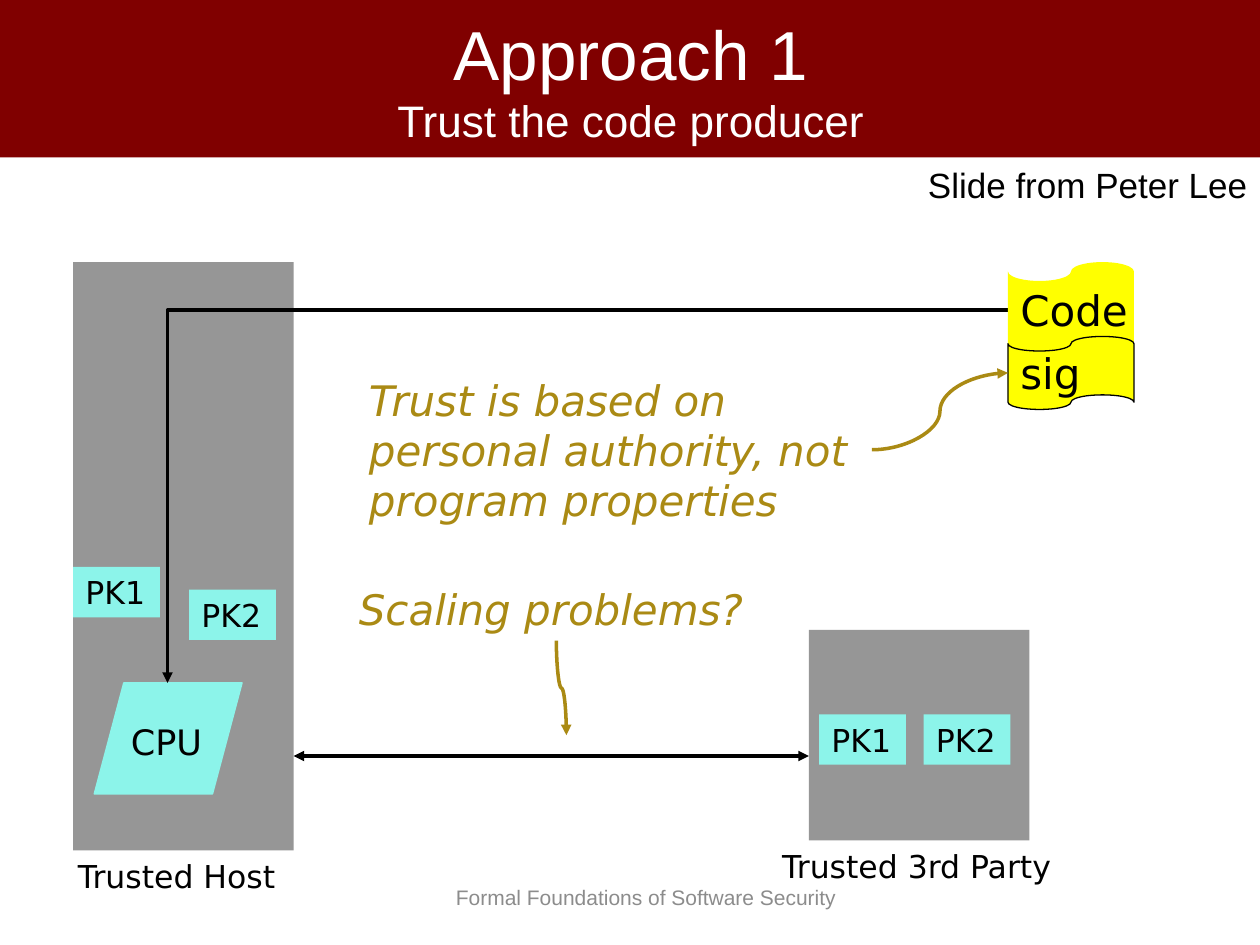
from pptx import Presentation
from pptx.dml.color import RGBColor
from pptx.enum import shapes, text
from pptx.oxml.ns import qn
from pptx.util import Inches, Pt
from lxml import etree

BLACK = RGBColor(0, 0, 0)
WHITE = RGBColor(255, 255, 255)
GRAY = RGBColor(0x96, 0x96, 0x96)
PALE = RGBColor(0x8C, 0x8C, 0x8C)
RED = RGBColor(0x80, 0, 0)
CYAN = RGBColor(0x8C, 0xF4, 0xEA)
YELLOW = RGBColor(255, 255, 0)
GOLD = RGBColor(0xAA, 0x8A, 0x14)

KIND = shapes.MSO_SHAPE
LINK = shapes.MSO_CONNECTOR
ALIGN = text.PP_ALIGN
MID = text.MSO_ANCHOR.MIDDLE
TOP = text.MSO_ANCHOR.TOP
GROW = text.MSO_AUTO_SIZE.SHAPE_TO_FIT_TEXT
FIXED = text.MSO_AUTO_SIZE.NONE

SANS = {"name": "DejaVu Sans", "size": Pt(18)}
BIG = SANS | {"size": Pt(24)}
NOTE = BIG | {"italic": True}
ARIAL = {"name": "Arial", "size": Pt(20)}


def style(item, form):
    for key, val in form.items():
        setattr(item, key, val)


def write(shape, lines, fonts, color=BLACK, align=ALIGN.LEFT, **frame):
    body = shape.text_frame
    style(body, {"word_wrap": True, "vertical_anchor": TOP,
                 "auto_size": GROW} | frame)
    para = body.paragraphs[0]
    para.alignment = align
    for num, (line, form) in enumerate(zip(lines, fonts)):
        if num:
            para.add_line_break()
        run = para.add_run()
        run.text = line
        style(run.font, form)
        run.font.color.rgb = color


def block(slide, kind, box, fill, line=None, width=1):
    shape = slide.shapes.add_shape(kind, *map(Inches, box))
    shape.shadow.inherit = False
    shape.fill.solid()
    shape.fill.fore_color.rgb = fill
    if line is None:
        shape.line.fill.background()
    else:
        shape.line.color.rgb = line
        shape.line.width = Pt(width)
    return shape


def label(slide, box, words, form, color=BLACK, **frame):
    shape = slide.shapes.add_textbox(*map(Inches, box))
    write(shape, [words], [form], color, **frame)


def key(slide, left, top, name):
    shape = block(slide, KIND.RECTANGLE, (left, top, 0.69, 0.4), CYAN)
    write(shape, [name], [SANS], vertical_anchor=MID, word_wrap=False)


def tape(slide, top, height, word, wrap, line=None):
    shape = block(slide, KIND.WAVE, (8, top, 1, height), YELLOW, line, 0.75)
    shape._element.spPr.find(qn("a:prstGeom")).set("prst", "flowChartPunchedTape")
    write(shape, [word], [BIG], vertical_anchor=MID, word_wrap=wrap,
          auto_size=FIXED)


def arrow(slide, kind, start, end, color, ends=("tailEnd",)):
    link = slide.shapes.add_connector(kind, *map(Inches, start + end))
    link.line.color.rgb = color
    link.line.width = Pt(2)
    props = link._element.spPr
    for tag in ends:
        etree.SubElement(props.find(qn("a:ln")), qn("a:" + tag), type="triangle")
    etree.SubElement(props, qn("a:effectLst"))
    return props


def main():
    deck = Presentation()
    style(deck, {"slide_width": Inches(10), "slide_height": Inches(7.5)})
    slide = deck.slides.add_slide(deck.slide_layouts[6])

    label(slide, (3.52, 6.92, 3.38, 0.4),
          "Formal Foundations of Software Security",
          ARIAL | {"size": Pt(12)}, PALE, vertical_anchor=MID, auto_size=FIXED)
    block(slide, KIND.RECTANGLE, (0.58, 2.08, 1.75, 4.67), GRAY)
    title = block(slide, KIND.RECTANGLE, (0, 0, 10.01, 1.25), RED)
    write(title, ["Approach 1", "Trust the code producer"],
          [ARIAL | {"size": Pt(size)} for size in (39.6, 25.2)],
          WHITE, ALIGN.CENTER, vertical_anchor=MID, auto_size=FIXED)

    block(slide, KIND.FLOWCHART_DATA, (0.75, 5.42, 1.17, 0.88), CYAN, CYAN)
    label(slide, (0.94, 5.67, 0.88, 0.44), "CPU", SANS | {"size": Pt(20)})
    bend = arrow(slide, LINK.ELBOW, (8, 2.46), (1.33, 5.42), BLACK)
    bend.find(qn("a:prstGeom")).set("prst", "bentConnector2")
    tape(slide, 2.08, 0.75, "Code", False)
    label(slide, (0.52, 6.75, 1.81, 0.4), "Trusted Host", SANS, word_wrap=False)
    tape(slide, 2.67, 0.58, "sig", True, BLACK)

    block(slide, KIND.RECTANGLE, (6.42, 5, 1.75, 1.67), GRAY)
    label(slide, (6.11, 6.67, 2.41, 0.4), "Trusted 3rd Party", SANS,
          word_wrap=False)
    for left, top, name in ((0.58, 4.5, "PK1"), (6.5, 5.67, "PK1"),
                            (1.5, 4.68, "PK2"), (7.33, 5.67, "PK2")):
        key(slide, left, top, name)
    arrow(slide, LINK.STRAIGHT, (2.33, 6), (6.42, 6), BLACK,
          ("headEnd", "tailEnd"))

    label(slide, (2.83, 2.92, 4.08, 1.3),
          "Trust is based on personal authority, not program properties",
          NOTE, GOLD)
    arrow(slide, LINK.CURVE, (6.92, 3.57), (8, 2.96), GOLD)
    label(slide, (2.75, 4.58, 3.33, 0.5), "Scaling problems?", NOTE, GOLD)
    drop = arrow(slide, LINK.CURVE, (4.83, 5.42), (4.08, 5.5), GOLD)
    drop.find(qn("a:xfrm")).set("rot", str(270 * 60000))
    label(slide, (7.19, 1.25, 2.81, 0.44), "Slide from Peter Lee", ARIAL,
          align=ALIGN.RIGHT)
    deck.save("out.pptx")


if __name__ == "__main__":
    main()
